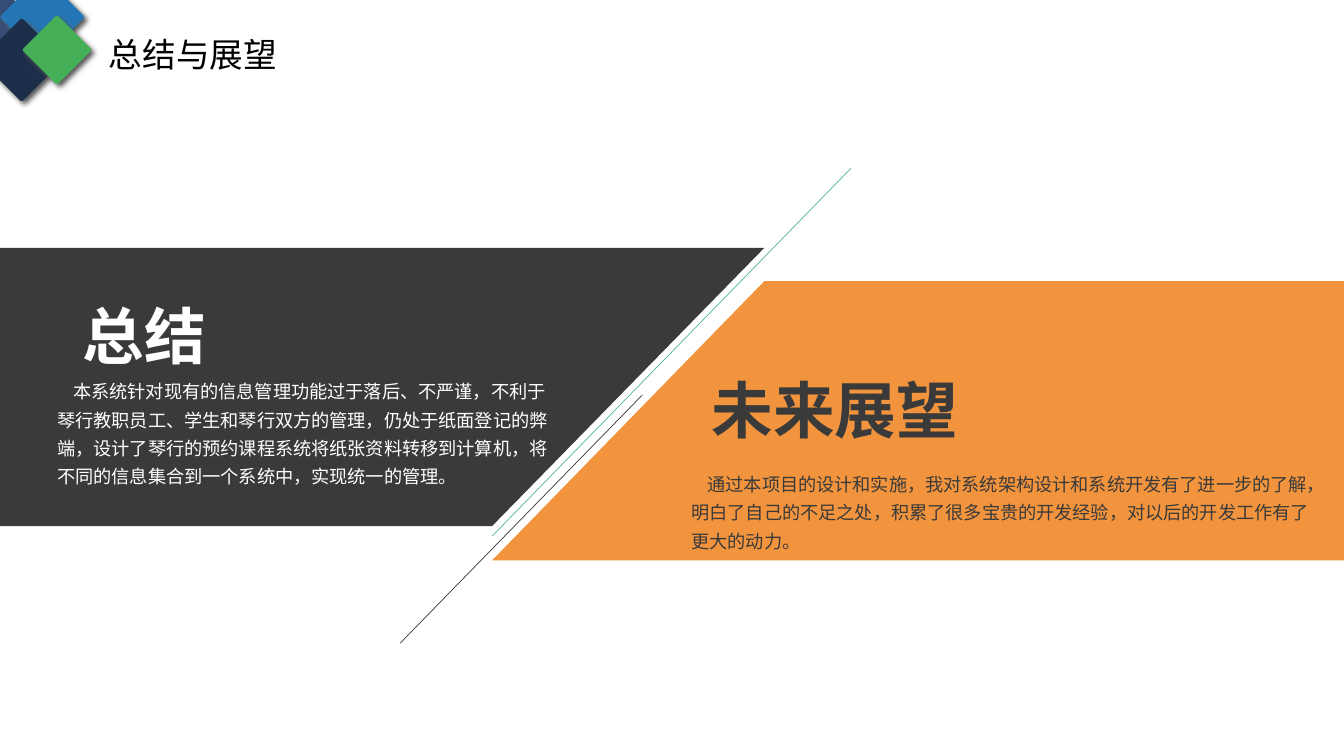
from lxml import etree
from pptx import Presentation
from pptx import util as u
from pptx.dml.color import RGBColor
from pptx.enum import shapes, text
from pptx.oxml import ns

DARK = RGBColor(0x3A, 0x3A, 0x3A)
ORANGE = RGBColor(0xF2, 0x94, 0x3D)
MINT = RGBColor(0x4F, 0xBB, 0x8A)
WHITE = RGBColor(0xFF, 0xFF, 0xFF)
BLACK = RGBColor(0, 0, 0)
SLATE = RGBColor(0x36, 0x4D, 0x76)
BLUE = RGBColor(0x24, 0x76, 0xB5)
NAVY = RGBColor(0x1D, 0x2E, 0x4B)
GREEN = RGBColor(0x45, 0xB0, 0x58)
FONT = "Noto Sans CJK SC"


def write(box, words, size, color, bold=False):
    """Fill a box with one left-aligned paragraph and return it."""
    frame = box.text_frame
    frame.vertical_anchor = text.MSO_ANCHOR.TOP
    frame.auto_size = text.MSO_AUTO_SIZE.NONE
    para = frame.paragraphs[0]
    para.text = words
    para.alignment = text.PP_ALIGN.LEFT
    font = para.font
    font.name, font.size, font.bold = FONT, u.Pt(size), bold
    font.color.rgb = color
    props = para._p.pPr.find(ns.qn("a:defRPr"))
    etree.SubElement(props, ns.qn("a:ea"), typeface=FONT)
    return para


def add_effects(shape):
    """Give a shape an empty effect list, which turns off its theme shadow."""
    return etree.SubElement(shape._element.spPr, ns.qn("a:effectLst"))


deck = Presentation()
deck.slide_width, deck.slide_height = u.Inches(13.33), u.Inches(7.5)
slide = deck.slides.add_slide(deck.slide_layouts[5])
items = slide.shapes

# Slanted panels
panels = [
    (ORANGE, [(7.58, 2.79), (13.33, 2.79), (13.33, 5.56), (4.88, 5.56)]),
    (DARK, [(0, 2.46), (7.58, 2.46), (4.88, 5.22), (0, 5.22)]),
]
for color, points in panels:
    spots = [(u.Inches(x), u.Inches(y)) for x, y in points]
    pen = items.build_freeform(*spots[0])
    pen.add_line_segments(spots[1:], close=True)
    panel = pen.convert_to_shape()
    panel.shadow.inherit = False
    panel.fill.solid()
    panel.fill.fore_color.rgb = color
    panel.line.fill.background()

# Body copy
bodies = [
    ((0.47, 3.66, 5.14, 1.24), WHITE,
     "本系统针对现有的信息管理功能过于落后、不严谨，不利于琴行教职员工、学生和琴行双方的管理，"
     "仍处于纸面登记的弊端，设计了琴行的预约课程系统将纸张资料转移到计算机，"
     "将不同的信息集合到一个系统中，实现统一的管理。"),
    ((6.76, 4.58, 6.39, 0.95), DARK,
     "通过本项目的设计和实施，我对系统架构设计和系统开发有了进一步的了解，"
     "明白了自己的不足之处，积累了很多宝贵的开发经验，对以后的开发工作有了更大的动力。"),
]
for place, color, words in bodies:
    box = items.add_textbox(*map(u.Inches, place))
    box.text_frame.word_wrap = True
    para = write(box, words, 13, color)
    para.line_spacing = 1.3
    para._p.pPr.set("indent", str(u.Inches(0.16)))

# Thin lines along the slant
for ends, color in [((8.44, 1.67, 4.88, 5.32), MINT),
                    ((6.37, 3.92, 3.97, 6.38), DARK)]:
    line = items.add_connector(shapes.MSO_CONNECTOR.STRAIGHT,
                               *map(u.Inches, ends))
    line.line.color.rgb = color
    line.line.width = u.Pt(0.5)
    add_effects(line)

# Panel headings
for place, color, words in [((0.72, 2.91, 1.43, 0.84), WHITE, "总结"),
                            ((6.96, 3.64, 2.66, 0.84), DARK, "未来展望")]:
    box = items.add_textbox(*map(u.Inches, place))
    box.text_frame.word_wrap = False
    write(box, words, 44, color, bold=True)

# Corner diamonds
for left, top, side, color in [(-0.23, 0, 0.52, SLATE),
                               (0.12, -0.13, 0.6, BLUE),
                               (-0.08, 0.3, 0.59, NAVY),
                               (0.32, 0.25, 0.49, GREEN)]:
    gem = items.add_shape(shapes.MSO_SHAPE.ROUNDED_RECTANGLE,
                          *map(u.Inches, (left, top, side, side)))
    gem.adjustments[0] = 0.04
    gem.rotation = 315
    gem.fill.solid()
    gem.fill.fore_color.rgb = color
    gem.line.fill.background()
    shade = etree.SubElement(
        add_effects(gem), ns.qn("a:outerShdw"), blurRad=str(u.Pt(4)),
        dist=str(u.Pt(3)), dir=str(45 * 60000), algn="tl", rotWithShape="0")
    etree.SubElement(shade, ns.qn("a:srgbClr"), val="595959")

# Slide title
title = items.title
title.left, title.top = u.Inches(0.98), u.Inches(0.29)
title.width, title.height = u.Inches(3.9), u.Inches(0.5)
write(title, "总结与展望", 24, BLACK)

deck.save("out.pptx")
